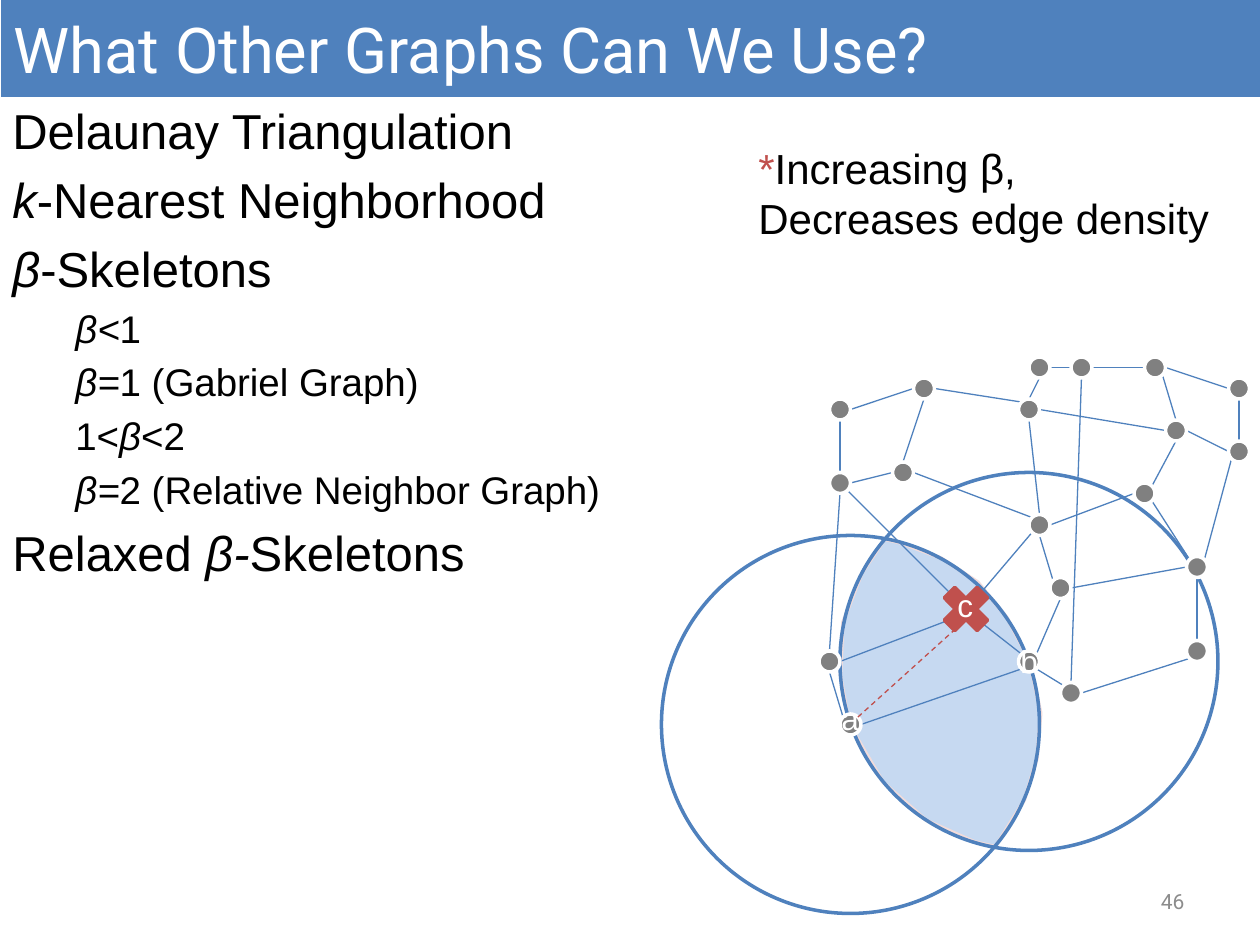
from dataclasses import dataclass
from typing import NamedTuple

from lxml import etree
from pptx import Presentation
from pptx.dml.color import RGBColor
from pptx.enum.dml import MSO_LINE_DASH_STYLE as Dash
from pptx.enum.shapes import MSO_CONNECTOR as Connector, MSO_SHAPE as Shape
from pptx.enum.text import MSO_ANCHOR as Anchor, MSO_AUTO_SIZE as AutoSize, PP_ALIGN as Align
from pptx.oxml.ns import qn
from pptx.util import Inches, Pt


@dataclass(frozen=True)
class Theme:
    body_font: str = "Arial"
    title_font: str = "Roboto"
    blue: str = "4F81BD"
    red: str = "C0504D"
    lens: str = "C6D9F1"
    lens_line: str = "F2DCDB"
    gray: str = "808080"
    number: str = "8C8C8C"
    black: str = "000000"
    white: str = "FFFFFF"
    title: float = 36.1
    body: float = 28
    sub: float = 22
    note: float = 24
    label: float = 18
    footer: float = 12
    thin: float = 0.75
    thick: float = 2


T = Theme()


class Run(NamedTuple):
    text: str
    italic: bool = False
    color: str = T.black


class Line(NamedTuple):
    runs: list[Run]
    level: int = 0


class Node(NamedTuple):
    x: int  # in grid units
    y: int


class Edge(NamedTuple):
    start: str
    start_side: str
    end: str
    end_side: str


GRID = 1 / 12  # inches; also the node radius
DIAGONAL = 0.5 ** 0.5
SIDES = {
    "n": (0, -1), "s": (0, 1), "w": (-1, 0), "e": (1, 0),
    "nw": (-DIAGONAL, -DIAGONAL), "ne": (DIAGONAL, -DIAGONAL),
    "sw": (-DIAGONAL, DIAGONAL), "se": (DIAGONAL, DIAGONAL),
}

NODES = {
    "a": Node(81, 69), "b": Node(98, 63), "c": Node(92, 58),
    "d": Node(79, 63), "e": Node(80, 46), "f": Node(80, 39),
    "g": Node(88, 37), "h": Node(86, 45), "i": Node(98, 39),
    "j": Node(99, 35), "k": Node(103, 35), "l": Node(110, 35),
    "m": Node(118, 37), "n": Node(118, 43), "o": Node(112, 41),
    "p": Node(109, 47), "q": Node(99, 50), "r": Node(101, 56),
    "s": Node(114, 54), "t": Node(114, 62), "u": Node(102, 66),
}
EDGES = [Edge(*code.split()) for code in (
    "f s e n", "f e g w", "h w e e", "a nw d s", "c sw d e", "g s h n",
    "g e i nw", "k w j e", "j s i n", "i s q n", "c se b nw", "b se u nw",
    "r s b ne", "q s r nw", "q e p w", "u e t sw", "s s t n", "p se s nw",
    "o s p ne", "k e l w", "l se o n", "o e n w", "m s n n", "e s d n",
    "q nw h e", "e se c nw", "k s u n", "m w l e", "s w r e", "c ne q sw",
    "i e o w", "a e b sw", "n sw s ne",
)]
REJECTED_EDGE = Edge("a", "ne", "c", "s")

LENS = [
    (7.02, 4.28), (6.84, 4.55), (6.69, 4.94), (6.67, 5.36), (6.74, 5.75),
    (7.01, 6.21), (7.35, 6.51), (7.73, 6.68), (7.9, 6.72), (8.13, 6.35),
    (8.23, 6.02), (8.26, 5.66), (8.17, 5.24), (7.99, 4.9), (7.76, 4.62),
    (7.47, 4.43), (7.15, 4.31),
]

BODY = [
    Line([Run("Delaunay Triangulation")]),
    Line([Run("k", True), Run("-Nearest Neighborhood")]),
    Line([Run("β", True), Run("-Skeletons")]),
    Line([Run("β<", True), Run("1")], 1),
    Line([Run("β=", True), Run("1 (Gabriel Graph)")], 1),
    Line([Run("1<"), Run("β", True), Run("<2")], 1),
    Line([Run("β=", True), Run("2 (Relative Neighbor Graph)")], 1),
    Line([Run("Relaxed "), Run("β-", True), Run("Skeletons")]),
]


def rgb(color: str) -> RGBColor:
    return RGBColor.from_string(color)


def add_runs(p, runs: list[Run], size: float, font: str = T.body_font) -> None:
    for run in runs:
        r = p.add_run()
        r.text = run.text
        r.font.color.rgb = rgb(run.color)
        for name, value in {"name": font, "size": Pt(size), "italic": run.italic}.items():
            setattr(r.font, name, value)


def add_box(shapes, x: float, y: float, w: float, h: float, **frame_format):
    tf = shapes.add_textbox(Inches(x), Inches(y), Inches(w), Inches(h)).text_frame
    for name, value in frame_format.items():
        setattr(tf, name, value)
    return tf


def paint(s, fill: str | None, line: str | None) -> None:
    s.shadow.inherit = False
    if fill:
        s.fill.solid()
        s.fill.fore_color.rgb = rgb(fill)
    else:
        s.fill.background()
    if line:
        s.line.color.rgb = rgb(line)
        s.line.width = Pt(T.thick)
    else:
        s.line.fill.background()


def add_centered(shapes, kind: Shape, node: Node, size: float, fill: str | None, line: str) -> None:
    x, y = (v * GRID - size / 2 for v in node)
    s = shapes.add_shape(kind, Inches(x), Inches(y), Inches(size), Inches(size))
    paint(s, fill, line)


def side_point(name: str, side: str) -> list[Inches]:
    return [Inches((v + d) * GRID) for v, d in zip(NODES[name], SIDES[side])]


def add_edge(shapes, edge: Edge, color: str, dash: Dash | None = None) -> None:
    s = shapes.add_connector(Connector.STRAIGHT, *side_point(edge.start, edge.start_side),
                             *side_point(edge.end, edge.end_side))
    s.line.color.rgb = rgb(color)
    s.line.width = Pt(T.thin)
    if dash:
        s.line.dash_style = dash
    etree.SubElement(s._element.spPr, qn("a:effectLst"))


def add_lens(shapes) -> None:
    start, *rest = [(Inches(x), Inches(y)) for x, y in LENS]
    builder = shapes.build_freeform(*start)
    builder.add_line_segments(rest, close=True)
    paint(builder.convert_to_shape(), T.lens, T.lens_line)


def add_body(shapes) -> None:
    tf = add_box(shapes, 0, 0.75, 10, 4.05, word_wrap=True)
    for i, line in enumerate(BODY):
        p = tf.paragraphs[0] if i == 0 else tf.add_paragraph()
        p.level = line.level
        size = T.sub if line.level else T.body
        pPr = p._p.get_or_add_pPr()
        pPr.set("marL", str(Inches(0.38 + 0.5 * line.level)))
        pPr.set("indent", str(Inches(-0.38)))
        if i:
            p.space_before = Pt(0.2 * size)
        add_runs(p, line.runs, size)


def add_graph(shapes) -> None:
    for edge in EDGES:
        add_edge(shapes, edge, T.blue)
    for name in "ab":
        add_centered(shapes, Shape.OVAL, NODES[name], 3, None, T.blue)
    for node in NODES.values():
        add_centered(shapes, Shape.OVAL, node, 2 * GRID, T.gray, T.white)
    add_centered(shapes, Shape.MATH_MULTIPLY, NODES["c"], 0.5, T.red, T.red)
    add_edge(shapes, REJECTED_EDGE, T.red, Dash.DASH)


def main() -> None:
    prs = Presentation()
    prs.slide_width, prs.slide_height = Inches(10), Inches(7.5)
    shapes = prs.slides.add_slide(prs.slide_layouts[6]).shapes

    # Shared region of the two circles, then text and graph over it
    add_lens(shapes)
    add_body(shapes)
    add_graph(shapes)

    # Slide number
    tf = add_box(shapes, 7.17, 6.95, 2.33, 0.4, word_wrap=True, vertical_anchor=Anchor.MIDDLE)
    tf.paragraphs[0].alignment = Align.RIGHT
    add_runs(tf.paragraphs[0], [Run("46", color=T.number)], T.footer, T.title_font)

    # Node labels and note
    fit = {"word_wrap": False, "auto_size": AutoSize.SHAPE_TO_FIT_TEXT}
    for text, x, y, w in (("c", 7.5, 4.6, 0.33), ("a", 6.58, 5.5, 0.34), ("b", 8, 5.05, 0.34)):
        tf = add_box(shapes, x, y, w, 0.4, **fit)
        add_runs(tf.paragraphs[0], [Run(text, color=T.white)], T.label)
    tf = add_box(shapes, 5.92, 1.08, 3.82, 0.91, **fit)
    add_runs(tf.paragraphs[0], [Run("*", color=T.red), Run("Increasing β,")], T.note)
    add_runs(tf.add_paragraph(), [Run("Decreases edge density")], T.note)

    # Title band
    s = shapes.add_shape(Shape.RECTANGLE, Inches(0.01), 0, Inches(10), Inches(0.77))
    paint(s, T.blue, None)
    s.text_frame.vertical_anchor = Anchor.MIDDLE
    p = s.text_frame.paragraphs[0]
    p.alignment = Align.LEFT
    add_runs(p, [Run("What Other Graphs Can We Use?", color=T.white)], T.title, T.title_font)

    prs.save("out.pptx")


if __name__ == "__main__":
    main()
